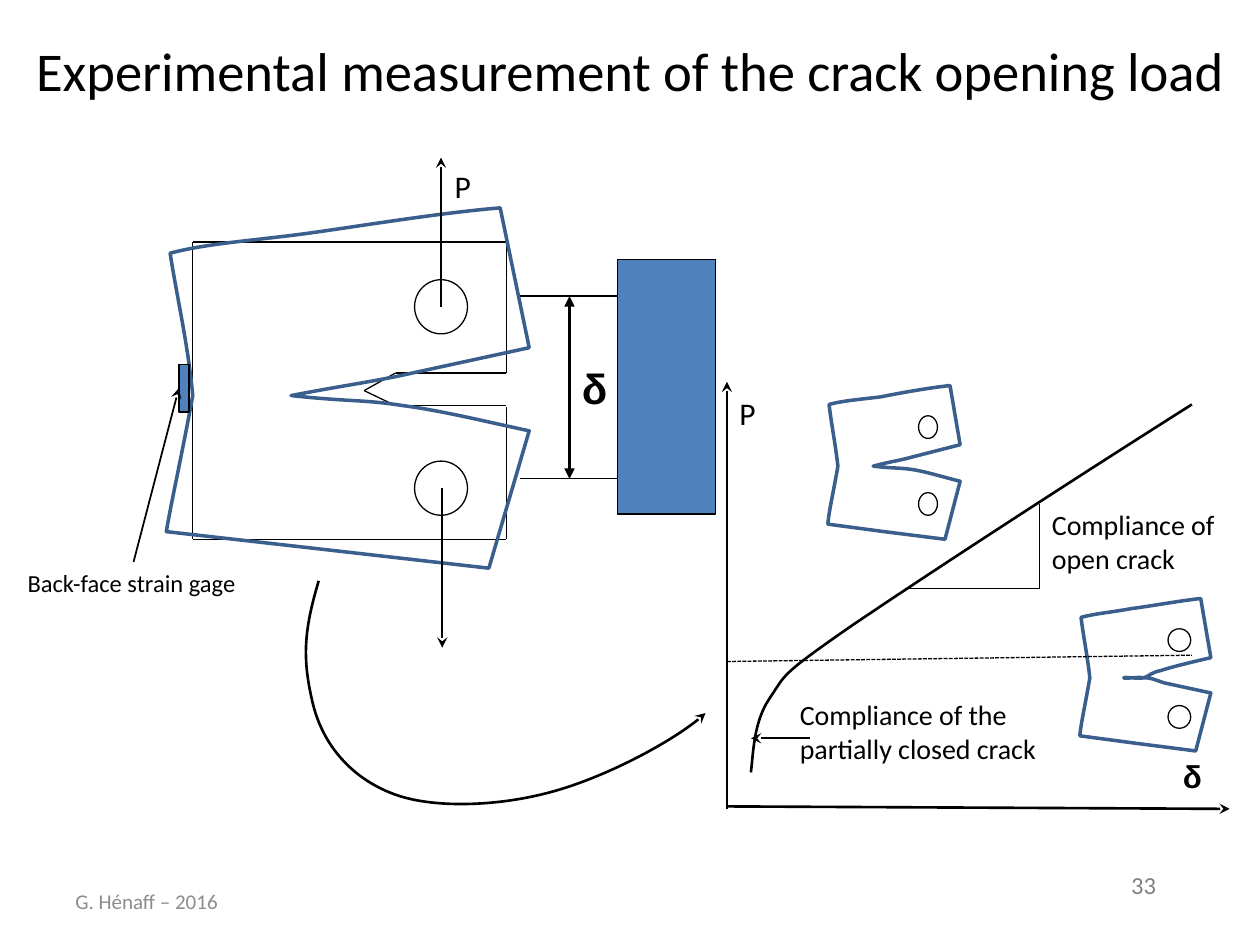
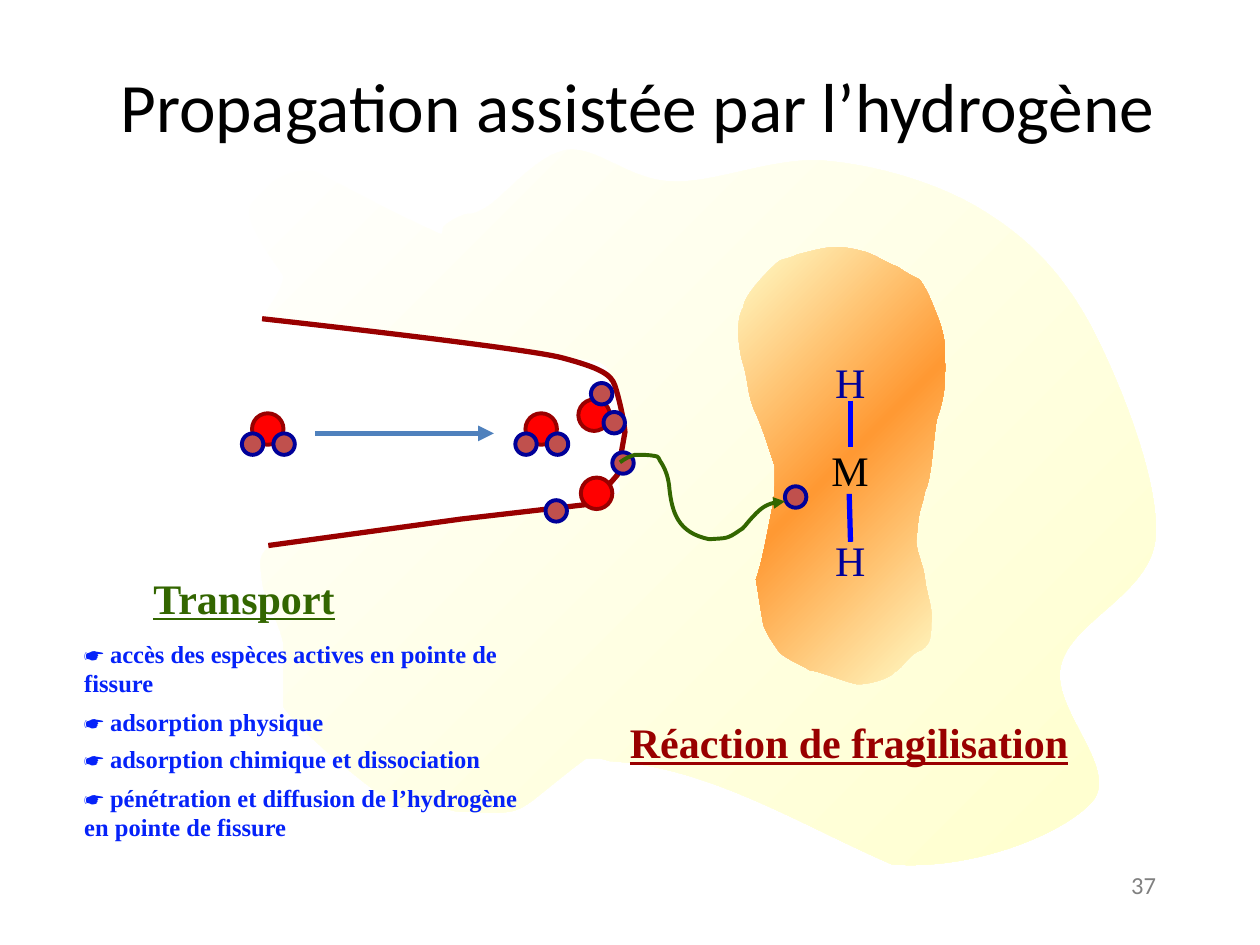
"""Build two slides on crack opening load and hydrogen assisted crack growth."""
from copy import deepcopy

from pptx import Presentation
from pptx.dml.color import RGBColor
from pptx.enum.dml import MSO_LINE
from pptx.enum.shapes import MSO_CONNECTOR, MSO_SHAPE
from pptx.enum.text import MSO_ANCHOR, MSO_AUTO_SIZE, PP_ALIGN
from pptx.oxml.ns import qn
from pptx.oxml.xmlchemy import OxmlElement
from pptx.util import Pt

PX = 9144
SLIDE_SIZE = (1000, 750)
SANS, SERIF, SYMBOL = "Calibri", "Times New Roman", "Arial"
COLORS = {
    "black": "000000", "white": "FFFFFF", "number": "808080", "footer": "8C8C8C",
    "blue": "4F81BD", "outline": "3A5F8C", "cream": "FFFFCC", "orange": "FF9933",
    "crack": "990000", "oxygen": "FF0000", "hydrogen": "C0504D", "navy": "000099",
    "bond": "0000FF", "green": "336600", "bullet": "0522F9",
}

TITLES = {
    "opening": ("Experimental measurement of the crack opening load", (0, 6, 1000, 98), 31.2),
    "hydrogen": ("Propagation assistée par l’hydrogène", (81, 21, 850, 125), 39.6),
}
PAGE_NUMBER_BOX = (888, 686, 53, 34)
FOOTER = ("G. Hénaff – 2016", (50, 695, 233, 40))

SPECIMEN_FRAME = [
    (153, 192, 402, 192), (153, 192, 153, 428), (153, 428, 402, 428),
    (402, 192, 402, 296), (402, 323, 402, 428), (402, 296, 314, 296),
    (314, 296, 289, 310), (402, 322, 314, 322), (314, 322, 289, 310),
]
HOLES = [
    (329, 222, 42, 43), (329, 366, 42, 43),
    (729, 330, 15, 18), (729, 391, 15, 18),
    (927, 499, 18, 18), (927, 560, 18, 18),
]
SPECIMEN_BOX = (132, 165, 288, 286)
SPECIMEN_START = (132, 422)
SPECIMEN_TOP = [
    (136, 398, 143, 368, 153, 314), (149, 272, 141, 239, 135, 201),
    (165, 193, 202, 191, 246, 185), (289, 179, 349, 169, 397, 165), (420, 276),
]
OPEN_CRACK = [
    (314, 299), (283, 305, 273, 306, 231, 314),
    (277, 319, 288, 317, 320, 322), (351, 326, 387, 335, 420, 342),
]
CLOSED_CRACK = [
    (384, 283, 337, 293, 312, 300), (287, 304, 287, 309, 273, 314),
    (259, 316, 229, 312, 229, 314), (229, 316, 259, 312, 273, 314),
    (290, 314, 293, 316, 318, 323), (420, 342),
]
SPECIMEN_BOTTOM = [(388, 451), (256, 436)]
SPECIMENS = [
    (SPECIMEN_BOX, OPEN_CRACK),
    ((657, 306, 105, 122), OPEN_CRACK),
    ((857, 475, 104, 121), CLOSED_CRACK),
]
GAGE_BOXES = [(142, 289, 8, 38), (490, 206, 78, 202)]
LOAD_CURVE = ((946, 321), [
    (837, 390, 730, 460, 674, 498), (618, 537, 624, 535, 611, 554),
    (598, 573, 598, 598, 596, 613),
])
TRANSFER_ARROW = ((253, 461), [
    (241, 501, 240, 523, 248, 557), (256, 592, 280, 618, 312, 630),
    (343, 642, 395, 640, 436, 629), (478, 618, 539, 586, 560, 566),
])
GUIDE_LINES = [
    (413, 235, 490, 235), (413, 380, 490, 380),
    (718, 467, 825, 467), (825, 400, 825, 467),
]
ARROWS = [
    ((350, 244, 350, 125), 1), ((351, 387, 351, 514), 1), ((106, 446, 142, 308), 1),
    ((577, 640, 976, 642), 1.5), ((577, 642, 577, 303), 1.5), ((643, 586, 596, 586), 1.25),
]
OPENING_ARROW = (452, 235, 452, 380)
OPENING_LEVEL = (577, 525, 946, 520)
SYMBOLS = [("δ", (452, 283, 34, 48), 24), ("δ", (929, 596, 35, 43), 18)]
LABELS = [
    ("P", (351, 128, 33, 38), 18, False),
    ("P", (577, 308, 38, 44), 18, False),
    ("Back-face strain gage", (12, 446, 188, 34), 14, False),
    ("Compliance of open crack", (825, 398, 169, 64), 16, True),
    ("Compliance of the partially closed crack", (625, 549, 243, 64), 16, True),
]

METAL = ((208, 253), [
    (211, 247, 225, 229, 225, 219), (208, 194), (204, 185, 193, 171, 200, 161),
    (207, 151, 225, 132, 250, 136), (283, 153, 316, 171, 350, 186),
    (352, 187, 351, 181, 352, 180), (356, 176, 362, 173, 367, 171),
    (373, 168, 373, 173, 387, 164), (401, 155, 426, 123, 450, 119),
    (474, 116, 499, 143, 533, 144), (568, 146, 617, 123, 658, 128),
    (700, 132, 749, 147, 783, 169), (818, 191, 844, 218, 867, 261),
    (889, 304, 921, 383, 917, 428), (912, 472, 850, 493, 842, 528),
    (833, 562, 889, 610, 867, 636), (844, 662, 772, 691, 708, 686),
    (636, 655, 564, 609, 484, 604), (473, 601, 479, 602, 465, 602),
    (402, 649, 424, 646, 362, 644), (355, 642, 347, 640, 340, 639),
    (329, 638, 327, 648, 308, 635), (289, 622, 239, 582, 225, 561), (225, 511),
    (222, 494, 209, 474, 208, 461), (207, 448, 203, 439, 218, 432), (298, 419),
    (473, 398), (505, 391, 487, 386, 491, 377), (494, 367, 497, 354, 496, 343),
    (496, 332, 492, 322, 489, 310), (485, 299, 485, 288, 470, 286),
    (455, 284, 436, 282, 414, 279), (335, 270), (210, 253),
])
CRACK_TIP = ((208, 253), [
    (208, 253, 416, 276, 446, 284), (476, 292, 485, 297, 488, 306),
    (491, 315, 495, 332, 496, 343), (490, 377), (470, 400), (366, 412), (213, 433),
])
BRITTLE_ZONE = ((710, 532), [
    (712, 536, 693, 543, 681, 543), (676, 543, 649, 532, 643, 532),
    (635, 527, 626, 524, 619, 518), (614, 511, 609, 504, 606, 496),
    (604, 486, 602, 471, 600, 460), (605, 446, 609, 423, 612, 408),
    (614, 399, 615, 391, 615, 382), (615, 378, 615, 370, 615, 370),
    (609, 353, 606, 341, 599, 326), (593, 313, 594, 300, 589, 286),
    (587, 278, 583, 255, 590, 244), (590, 236, 605, 220, 610, 215),
    (623, 202, 617, 209, 633, 202), (653, 197, 661, 194, 679, 198),
    (681, 198, 682, 199, 683, 199), (684, 200, 686, 199, 687, 200),
    (696, 203, 704, 209, 713, 212), (718, 216, 724, 219, 730, 222),
    (737, 232, 739, 239, 744, 251), (745, 254, 750, 265, 750, 279),
    (750, 301, 751, 311, 744, 331), (741, 341, 740, 380, 734, 390),
    (733, 398, 730, 403, 729, 412), (728, 418, 728, 424, 727, 430),
    (728, 440, 733, 449, 734, 459), (735, 470, 741, 484, 739, 495),
    (739, 504, 739, 511, 731, 516), (723, 518, 716, 530, 711, 533),
])
DIFFUSION_PATH = ((492, 367), [
    (496, 364, 500, 362, 504, 361), (510, 361, 515, 361, 520, 362),
    (523, 362, 523, 365, 524, 366), (528, 372, 530, 378, 531, 385),
    (533, 407, 538, 423, 563, 428), (577, 427, 577, 428, 587, 421),
    (590, 420, 593, 415, 595, 413), (603, 404, 610, 398, 623, 398),
])
ATOM_STYLES = {"O": (25, "oxygen", "crack"), "H": (17, "hydrogen", "navy")}
FREE_WATER = [(200, 328), (417, 328)]
WATER = [("O", 0, 0), ("H", 17, 16), ("H", -8, 16)]
TIP_ATOMS = [
    ("O", 459, 317), ("H", 469, 304), ("H", 479, 327),
    ("O", 461, 379), ("H", 433, 397), ("H", 486, 359), ("H", 623, 386),
]
TRANSPORT_ARROW = (250, 344, 392, 344)
BONDS = [(675, 318, 675, 355), (674, 392, 675, 430)]
BONDED_ATOMS = [
    ("H", (653, 278, 44, 50), "navy"), ("M", (650, 348, 50, 50), "black"),
    ("H", (653, 419, 44, 50), "navy"),
]
HEADINGS = [
    ("Transport", (112, 449, 166, 50), "green"),
    ("Réaction de fragilisation", (490, 564, 368, 50), "crack"),
]
TRANSPORT_STEPS = [
    ("☛ accès des espèces actives en pointe de fissure", 502, 57),
    ("☛ adsorption physique", 556, 33),
    ("☛ adsorption chimique et dissociation", 586, 33),
    ("☛ pénétration et diffusion de l’hydrogène en pointe de fissure", 616, 57),
]


def rgb(name):
    return RGBColor.from_string(COLORS[name])


def emu(lengths):
    return [length * PX for length in lengths]


def style_line(shape, color, width, head=None, tail=None):
    shape.line.color.rgb = rgb(color)
    shape.line.width = Pt(width)
    line = shape._element.spPr.find(qn("a:ln"))
    for tag, kind in (("a:headEnd", head), ("a:tailEnd", tail)):
        if kind:
            end = OxmlElement(tag)
            end.set("type", kind)
            line.append(end)


def add_text(slide, text, box, size, color="black", font=SANS, wrap=True,
             middle=False, center=False, bold=False, underline=False):
    frame = slide.shapes.add_textbox(*emu(box)).text_frame
    frame.word_wrap = wrap
    if not wrap:
        frame.auto_size = MSO_AUTO_SIZE.SHAPE_TO_FIT_TEXT
    frame.vertical_anchor = MSO_ANCHOR.MIDDLE if middle else MSO_ANCHOR.TOP
    paragraph = frame.paragraphs[0]
    paragraph.alignment = PP_ALIGN.CENTER if center else PP_ALIGN.LEFT
    run = paragraph.add_run()
    run.text = text
    run.font.name, run.font.size, run.font.color.rgb = font, Pt(size), rgb(color)
    run.font.bold, run.font.underline = bold, underline


def add_line(slide, ends, color="black", width=0.75, head=None, tail=None, dash=None):
    connector = slide.shapes.add_connector(MSO_CONNECTOR.STRAIGHT, *emu(ends))
    if dash:
        connector.line.dash_style = dash
    style_line(connector, color, width, head, tail)
    connector._element.spPr.append(OxmlElement("a:effectLst"))


def add_shape(slide, kind, box, fill=None, line="black", width=0.75):
    shape = slide.shapes.add_shape(kind, *emu(box))
    shape.shadow.inherit = False
    if fill:
        shape.fill.solid()
        shape.fill.fore_color.rgb = rgb(fill)
    else:
        shape.fill.background()
    style_line(shape, line, width)


def add_curve(slide, start, segments, closed=False):
    points = [point for part in segments for point in zip(part[::2], part[1::2])]
    builder = slide.shapes.build_freeform(*start, scale=PX)
    builder.add_line_segments(points, close=closed)
    shape = builder.convert_to_shape()
    shape.shadow.inherit = False
    shape.fill.background()
    outline = shape._element.find(".//" + qn("a:path"))
    steps = iter(outline.findall(qn("a:lnTo")))
    for part in segments:
        group = [next(steps) for _ in part[::2]]
        if len(group) == 3:
            curve = OxmlElement("a:cubicBezTo")
            group[0].addprevious(curve)
            for step in group:
                curve.append(step[0])
                outline.remove(step)
    return shape


def add_gradient_area(slide, outline, colors):
    shape = add_curve(slide, *outline, closed=True)
    shape.line.fill.background()
    shape.fill.gradient()
    shape.fill.gradient_angle = 315
    stop_list = shape._element.find(".//" + qn("a:gsLst"))
    while len(stop_list) < len(colors):
        stop_list.append(deepcopy(stop_list[0]))
    for index, (stop, color) in enumerate(zip(shape.fill.gradient_stops, colors)):
        stop.color.rgb = rgb(color)
        stop.position = index / (len(colors) - 1)


def add_specimen(slide, box, crack):
    def fit(values):
        return tuple(
            round(box[i % 2] + (value - SPECIMEN_BOX[i % 2])
                  * box[2 + i % 2] / SPECIMEN_BOX[2 + i % 2])
            for i, value in enumerate(values))

    segments = [fit(part) for part in SPECIMEN_TOP + crack + SPECIMEN_BOTTOM]
    style_line(add_curve(slide, fit(SPECIMEN_START), segments, True), "outline", 2)


def add_atom(slide, element, left, top):
    size, fill, line = ATOM_STYLES[element]
    add_shape(slide, MSO_SHAPE.OVAL, (left, top, size, size), fill, line, 2.25)


def start_slide(presentation, number):
    slide = presentation.slides.add_slide(presentation.slide_layouts[6])
    add_text(slide, str(number), PAGE_NUMBER_BOX, 14, "number", wrap=False)
    return slide


def add_title(slide, key):
    add_text(slide, *TITLES[key], middle=True, center=True)


def build_opening_load(presentation):
    slide = start_slide(presentation, 33)
    add_text(slide, *FOOTER, 12, "footer", middle=True)
    add_title(slide, "opening")
    for ends in SPECIMEN_FRAME:
        add_line(slide, ends)
    for box in HOLES:
        add_shape(slide, MSO_SHAPE.OVAL, box)
    for box, crack in SPECIMENS:
        add_specimen(slide, box, crack)
    for box in GAGE_BOXES:
        add_shape(slide, MSO_SHAPE.RECTANGLE, box, "blue")
    style_line(add_curve(slide, *LOAD_CURVE), "black", 1.5)
    style_line(add_curve(slide, *TRANSFER_ARROW), "black", 1.5, tail="stealth")
    for ends in GUIDE_LINES:
        add_line(slide, ends)
    for ends, width in ARROWS:
        add_line(slide, ends, width=width, tail="stealth")
    add_line(slide, OPENING_ARROW, width=1.5, head="triangle", tail="triangle")
    add_line(slide, OPENING_LEVEL, dash=MSO_LINE.SQUARE_DOT)
    for text, box, size in SYMBOLS:
        add_text(slide, text, box, size, font=SYMBOL, wrap=False, bold=True)
    for text, box, size, wrap in LABELS:
        add_text(slide, text, box, size, wrap=wrap)


def build_hydrogen(presentation):
    slide = start_slide(presentation, 37)
    add_gradient_area(slide, METAL, ("white", "cream"))
    add_title(slide, "hydrogen")
    style_line(add_curve(slide, *CRACK_TIP), "crack", 3)
    add_gradient_area(slide, BRITTLE_ZONE, ("cream", "orange", "cream"))
    water_atoms = [(element, left + dx, top + dy)
                   for left, top in FREE_WATER for element, dx, dy in WATER]
    for atom in water_atoms + TIP_ATOMS:
        add_atom(slide, *atom)
    add_line(slide, TRANSPORT_ARROW, "blue", 3, tail="triangle")
    style_line(add_curve(slide, *DIFFUSION_PATH), "green", 2.25, tail="triangle")
    for text, box, color in BONDED_ATOMS:
        add_text(slide, text, box, 24, color, SERIF, wrap=False, middle=True)
    for ends in BONDS:
        add_line(slide, ends, "bond", 3)
    for text, box, color in HEADINGS:
        add_text(slide, text, box, 24, color, SERIF, wrap=False, middle=True,
                 bold=True, underline=True)
    for text, top, height in TRANSPORT_STEPS:
        add_text(slide, text, (57, top, 388, height), 14, "bullet", SERIF,
                 middle=True, bold=True)


def main():
    presentation = Presentation()
    presentation.slide_width, presentation.slide_height = emu(SLIDE_SIZE)
    build_opening_load(presentation)
    build_hydrogen(presentation)
    presentation.save("out.pptx")


if __name__ == "__main__":
    main()
